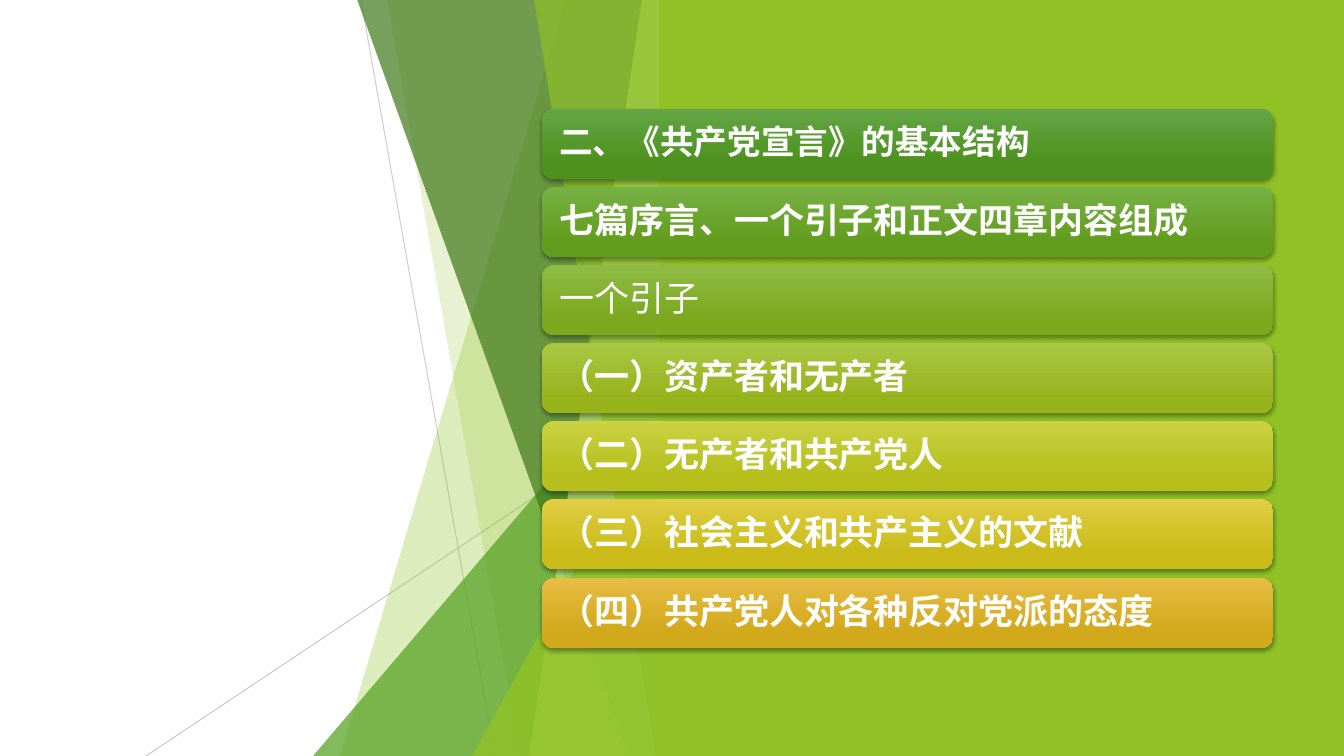
from lxml.etree import SubElement
from pptx import Presentation
from pptx.dml.color import RGBColor
from pptx.enum.shapes import MSO_CONNECTOR, MSO_SHAPE
from pptx.enum.text import MSO_ANCHOR, PP_ALIGN
from pptx.oxml.ns import qn
from pptx.util import Pt

# Content: text, size, bold, top and bottom colour
BARS = [
    ("二、《共产党宣言》的基本结构", 24, True, "63A545", "4D921E"),
    ("七篇序言、一个引子和正文四章内容组成", 25, True, "77B044", "629D1E"),
    ("一个引子", 25, False, "8EBB44", "7BA81D"),
    ("（一）资产者和无产者", 25, True, "AAC744", "97B31C"),
    ("（二）无产者和共产党人", 25, True, "CAD243", "B6BF1B"),
    ("（三）社会主义和共产主义的文献", 25, True, "DFCE43", "CABB19"),
    ("（四）共产党人对各种反对党派的态度", 25, True, "E7BC43", "D2A91B"),
]
# Thin lines: start, end, opacity
LINES = [((361, 0), (495, 756), 75), ((671, 406), (146, 756), 80)]
# Facets, back to front: kind, two measures, colour, opacity
# "band": left edge at top and at bottom; "wedge": left and top
FACETS = [
    ("band", 566, 340, "90C226", 30),
    ("band", 387, 520, "90C226", 20),
    ("wedge", 313, 336, "54A021", 72),
    ("band", 357, 629, "3F7819", 70),
    ("band", 642, 529, "C0E474", 70),
    ("band", 534, 656, "90C226", 65),
    ("wedge", 472, 396, "90C226", 80),
]
FONT = "Noto Sans CJK SC"
WIDE, HIGH = 1344, 756
EDGE = 671          # right edge of the facets
PANEL = 659         # left edge of the green panel
LEFT, TOP, BAR_W, BAR_H, SPAN = 542, 109, 731, 70, 469
PAD, INSET = 14, 10
SCALE = 914400 / 100.8


def px(*nums):
    return [round(n * SCALE) for n in nums]


def rgb(code):
    return RGBColor.from_string(code)


def put(item, values):
    for name, value in values.items():
        setattr(item, name, value)


def fade(part, alpha):
    for color in part._element.spPr.iter(qn("a:srgbClr")):
        SubElement(color, qn("a:alpha"), val=str(alpha * 1000))


def paint(shape, code):
    shape.shadow.inherit = False
    shape.fill.solid()
    shape.fill.fore_color.rgb = rgb(code)
    shape.line.fill.background()


def facet(kind, a, b, code, alpha):
    if kind == "band":
        path = shapes.build_freeform(*px(a, -1))
        path.add_line_segments([px(EDGE, -1), px(EDGE, HIGH), px(b, HIGH)])
        shape = path.convert_to_shape()
    else:
        shape = shapes.add_shape(MSO_SHAPE.ISOSCELES_TRIANGLE,
                                 *px(a, b, EDGE - a, HIGH - b))
        shape.adjustments[0] = 1
    paint(shape, code)
    fade(shape, alpha)


def bar(top, text, size, bold, light, dark):
    shape = shapes.add_shape(MSO_SHAPE.ROUNDED_RECTANGLE,
                             *px(LEFT, top, BAR_W, BAR_H))
    shape.line.fill.background()
    # Gradient from top to bottom
    shape.fill.gradient()
    shape.fill.gradient_angle = 270
    for stop, spot, code in zip(shape.fill.gradient_stops, (0, 0.78), (light, dark)):
        stop.position = spot
        stop.color.rgb = rgb(code)
    # Soft shadow below
    shape.shadow.inherit = False
    effect = shape._element.spPr.find(qn("a:effectLst"))
    shade = SubElement(effect, qn("a:outerShdw"), blurRad=str(Pt(3)),
                       dist=str(Pt(2)), dir="5400000", rotWithShape="0")
    black = SubElement(shade, qn("a:srgbClr"), val="000000")
    SubElement(black, qn("a:alpha"), val="35000")
    # Text
    side, edge = px(PAD, INSET)
    frame = shape.text_frame
    put(frame, {"word_wrap": True, "vertical_anchor": MSO_ANCHOR.MIDDLE,
                "margin_left": side, "margin_right": side,
                "margin_top": edge, "margin_bottom": edge})
    para = frame.paragraphs[0]
    put(para, {"alignment": PP_ALIGN.LEFT, "line_spacing": 0.9})
    run = para.add_run()
    run.text = text
    put(run.font, {"name": FONT, "size": Pt(size), "bold": bold})
    run.font.color.rgb = rgb("FFFFFF")
    SubElement(run._r.rPr, qn("a:ea"), typeface=FONT)


deck = Presentation()
deck.slide_width, deck.slide_height = px(WIDE, HIGH)
shapes = deck.slides.add_slide(deck.slide_layouts[6]).shapes

# Thin lines
for start, end, alpha in LINES:
    line = shapes.add_connector(MSO_CONNECTOR.STRAIGHT, *px(*start, *end))
    line.line.width = Pt(0.75)
    line.line.color.rgb = rgb("BFBFBF")
    SubElement(line._element.spPr, qn("a:effectLst"))
    fade(line, alpha)

# Facets and green panel
for row in FACETS:
    facet(*row)
panel = shapes.add_shape(MSO_SHAPE.RECTANGLE, *px(PANEL, 0, WIDE - PANEL, HIGH))
paint(panel, "90C226")

# Outline bars
for i, row in enumerate(BARS):
    bar(TOP + i * SPAN // (len(BARS) - 1), *row)

deck.save("out.pptx")
